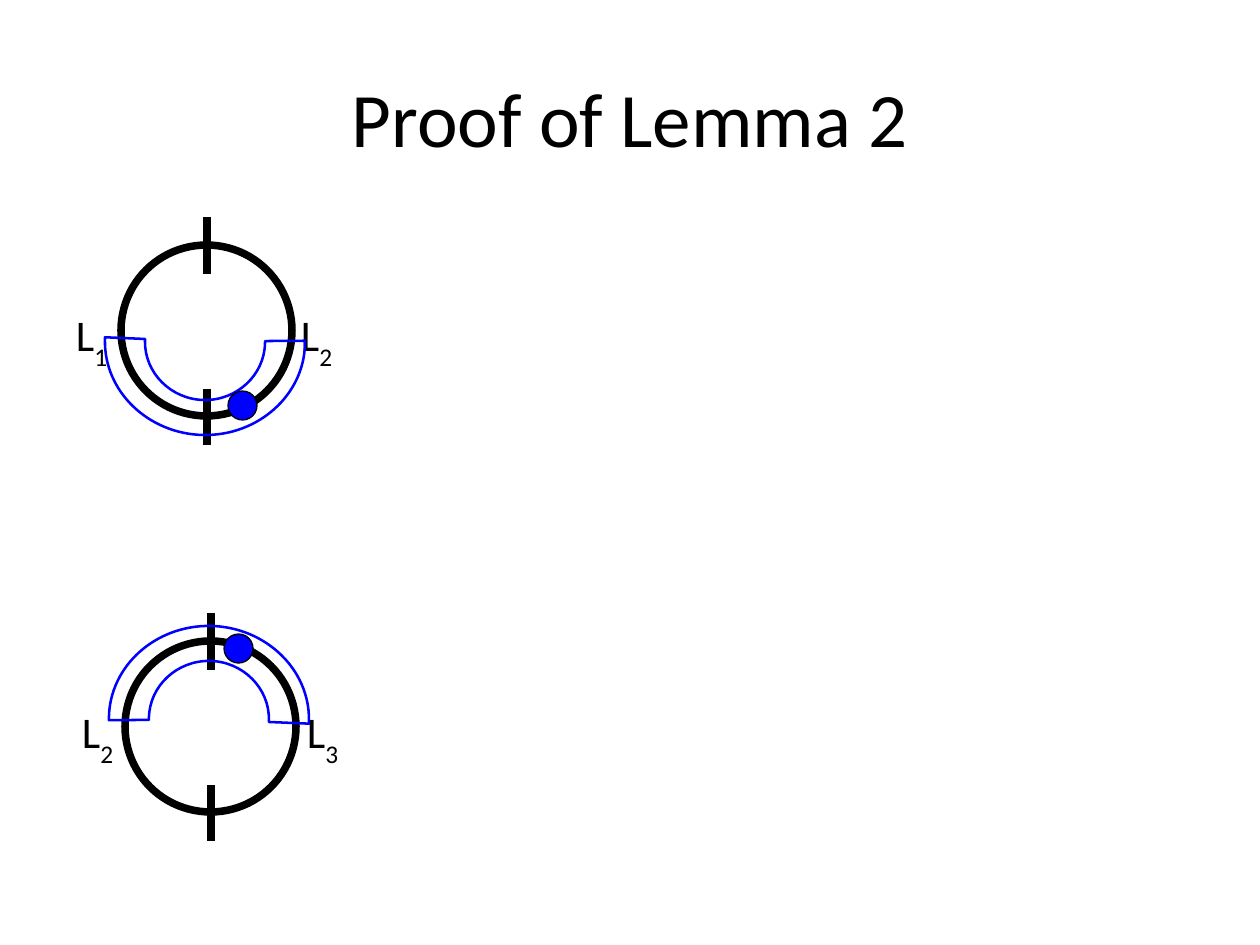
"""Build the slide on the proof of Lemma 2, with two marked circles."""
import lxml.etree
import pptx
import pptx.dml.color
import pptx.enum.shapes
import pptx.enum.text
import pptx.oxml.ns
import pptx.util

EMU_PER_PX = 914400 / 126
COLORS = {"ink": "000000", "mark": "0000FF"}
FONT = "Calibri"
QUARTER_ARC = 0.55
RING_POINTS = [(40, 95), (40, 93), (100, 35), (160, 93), (160, 95),
               (200, 96), (200, 93), (100, 0), (0, 93), (0, 96)]
RING_HEIGHT = 186
RING_EDGE = 5


def emu(pixels):
    return pptx.util.Emu(round(pixels * EMU_PER_PX))


def rgb(name):
    return pptx.dml.color.RGBColor.from_string(COLORS[name])


def tag(name):
    return pptx.oxml.ns.qn("a:" + name)


def curve_controls(start, end):
    (x0, y0), (x1, y1) = start, end
    across, down = QUARTER_ARC * (x1 - x0), QUARTER_ARC * (y1 - y0)
    if x0 == 100:
        return [(x0 + across, y0), (x1, y1 - down)]
    return [(x0, y0 + down), (x1 - across, y1)]


class Sketch:
    def __init__(self, slide):
        self.slide = slide
        self.shapes = slide.shapes

    def start_group(self):
        self.shapes = self.slide.shapes.add_group_shape().shapes

    def style_font(self, font, size):
        font.name = FONT
        font.size = pptx.util.Pt(size)
        font.color.rgb = rgb("ink")

    def style_line(self, line, color, width):
        line.color.rgb = rgb(color)
        line.width = pptx.util.Pt(width)

    def title(self, text, left, top, width, height):
        shape = self.slide.shapes.title
        shape.left, shape.top = emu(left), emu(top)
        shape.width, shape.height = emu(width), emu(height)
        frame = shape.text_frame
        frame.text = text
        frame.margin_left = frame.margin_right = 0
        frame.margin_top = frame.margin_bottom = 0
        frame.vertical_anchor = pptx.enum.text.MSO_ANCHOR.MIDDLE
        paragraph = frame.paragraphs[0]
        paragraph.alignment = pptx.enum.text.PP_ALIGN.CENTER
        self.style_font(paragraph.font, 44)

    def circle(self, left, top, size, line_width, fill=None):
        shape = self.shapes.add_shape(
            pptx.enum.shapes.MSO_SHAPE.OVAL, emu(left), emu(top), emu(size), emu(size))
        shape.shadow.inherit = False
        if fill:
            shape.fill.solid()
            shape.fill.fore_color.rgb = rgb(fill)
        else:
            shape.fill.background()
        self.style_line(shape.line, "ink", line_width)

    def tick(self, x, start, end):
        connector = self.shapes.add_connector(
            pptx.enum.shapes.MSO_CONNECTOR.STRAIGHT, emu(x), emu(start), emu(x), emu(end))
        self.style_line(connector.line, "ink", 4.31)
        lxml.etree.SubElement(connector._element.spPr, tag("effectLst"))

    def label(self, letter, index, left, top):
        box = self.shapes.add_textbox(emu(left), emu(top), emu(73), emu(82))
        frame = box.text_frame
        frame.word_wrap = False
        frame.margin_left = frame.margin_right = emu(15)
        frame.margin_top = frame.margin_bottom = emu(9)
        paragraph = frame.paragraphs[0]
        self.style_font(paragraph.font, 25)
        paragraph.add_run().text = letter
        subscript = paragraph.add_run()
        subscript.text = index
        subscript.font._element.set("baseline", "-33000")

    def half_ring(self, left, top, rotation):
        points = [(emu(x), emu(y)) for x, y in RING_POINTS]
        builder = self.shapes.build_freeform(*points[0], scale=1.0)
        builder.add_line_segments(points[1:], close=True)
        shape = builder.convert_to_shape(emu(left), emu(top))
        outline = next(shape._element.iter(tag("path")))
        shape.height = emu(RING_HEIGHT)
        outline.set("h", str(emu(RING_HEIGHT)))
        for number, segment in enumerate(outline.findall(tag("lnTo")), 1):
            if number == RING_EDGE:
                continue
            curve = lxml.etree.Element(tag("cubicBezTo"))
            for x, y in curve_controls(*RING_POINTS[number - 1:number + 1]):
                lxml.etree.SubElement(curve, tag("pt"), x=str(emu(x)), y=str(emu(y)))
            curve.append(segment[0])
            outline.replace(segment, curve)
        shape.rotation = rotation
        shape.shadow.inherit = False
        shape.fill.background()
        self.style_line(shape.line, "mark", 1.45)

    def marked_circle(self, left, top, indices, label_left, label_top, ring, dot):
        self.circle(left, top, 171, 4.31)
        middle = left + 86
        self.tick(middle, top - 28, top + 29)
        self.tick(middle, top + 200, top + 144)
        for number, index in enumerate(indices):
            self.label("L", index, label_left + 225 * number, label_top)
        self.half_ring(*ring)
        self.circle(*dot, 29, 0.75, "mark")


def main():
    presentation = pptx.Presentation()
    presentation.slide_width = emu(1260)
    presentation.slide_height = emu(945)
    slide = presentation.slides.add_slide(presentation.slide_layouts[5])
    sketch = Sketch(slide)
    sketch.title("Proof of Lemma 2", 63, 38, 1134, 157)
    sketch.marked_circle(121, 245, "12", 61, 299, (105, 249, 181), (228, 391))
    sketch.start_group()
    sketch.marked_circle(125, 641, "23", 67, 696, (109, 626, 1), (224, 634))
    presentation.save("out.pptx")


if __name__ == "__main__":
    main()
